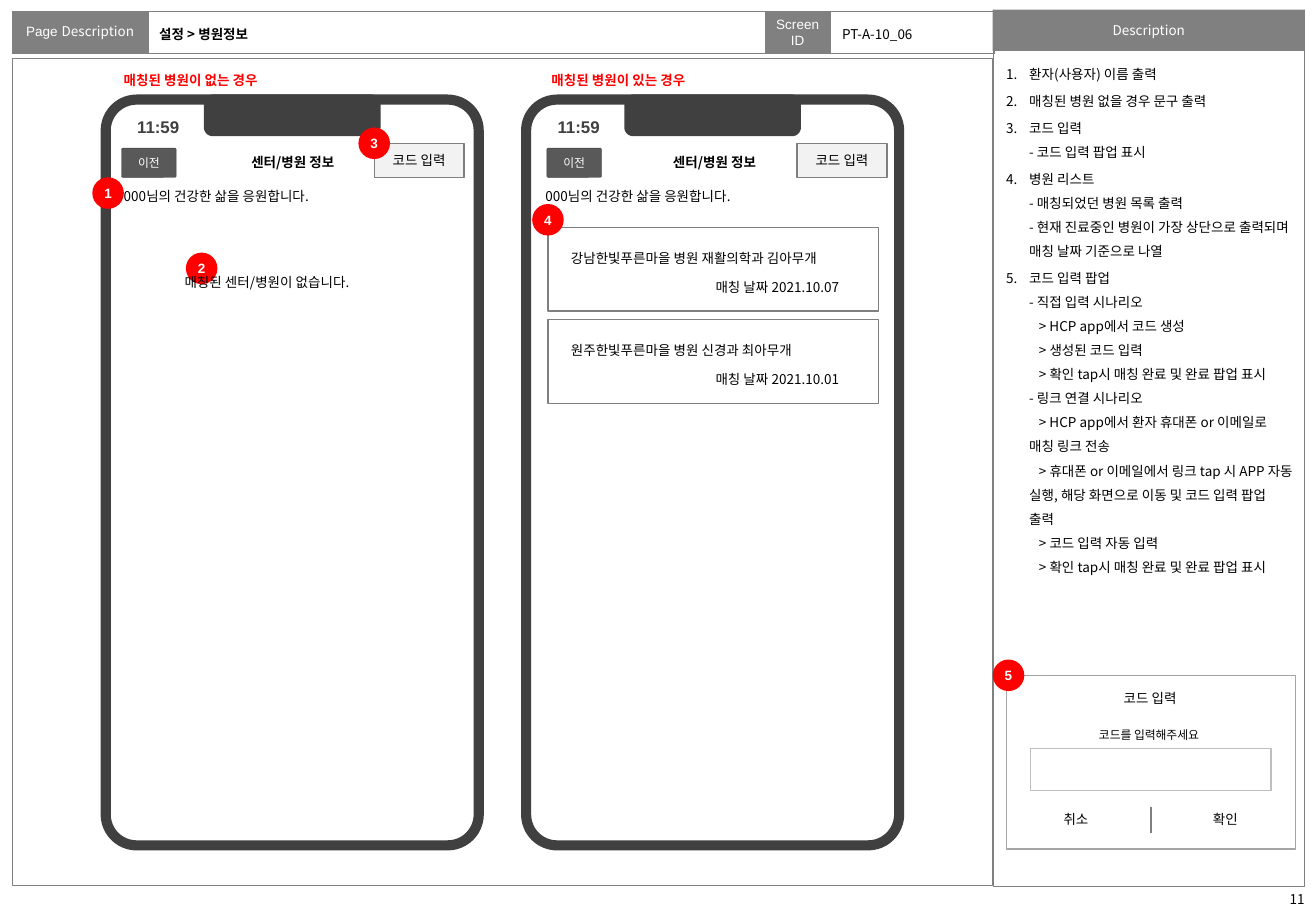
"""Builds the hospital information screen description page."""
import pptx
import pptx.chart.data
import pptx.dml.color
import pptx.enum.shapes
import pptx.enum.text
import pptx.oxml.ns
import pptx.util
from lxml import etree

Inches = pptx.util.Inches
Pt = pptx.util.Pt
qn = pptx.oxml.ns.qn
SHAPE = pptx.enum.shapes.MSO_SHAPE
ALIGN = pptx.enum.text.PP_ALIGN
ANCHOR = pptx.enum.text.MSO_ANCHOR

SANS = "Noto Sans CJK KR"
COLORS = {"black": "000000", "white": "FFFFFF", "red": "FF0000", "frame": "808080",
          "phone": "404040", "back": "595959", "button": "F2F2F2", "outline": "7F7F7F",
          "popup": "A5A5A5", "field": "BFBFBF"}
LOOSE = 14.3

PHONES = [
    {"left": 0.87, "label": 0.92, "heading": 0.92, "back": 1.0, "code": 3.08,
     "title": "매칭된 병원이 없는 경우"},
    {"left": 4.33, "label": 4.39, "heading": 4.44, "back": 4.5, "code": 6.56,
     "title": "매칭된 병원이 있는 경우"},
]
HOSPITALS = [("강남한빛푸른마을 병원 재활의학과 김아무개", "2021.10.07"),
             ("원주한빛푸른마을 병원 신경과 최아무개", "2021.10.01")]
BADGES = [(0.76, 1.46), (1.53, 2.08), (2.95, 1.05), (4.38, 1.68), (8.17, 5.43)]
DESCRIPTION = [
    ("환자(사용자) 이름 출력", []),
    ("매칭된 병원 없을 경우 문구 출력", []),
    ("코드 입력", ["- 코드 입력 팝업 표시"]),
    ("병원 리스트", ["- 매칭되었던 병원 목록 출력",
                "- 현재 진료중인 병원이 가장 상단으로 출력되며 매칭 날짜 기준으로 나열"]),
    ("코드 입력 팝업", [
        "- 직접 입력 시나리오",
        "> HCP app에서 코드 생성",
        "> 생성된 코드 입력",
        "> 확인 tap시 매칭 완료 및 완료 팝업 표시",
        "- 링크 연결 시나리오",
        "> HCP app에서 환자 휴대폰 or 이메일로 매칭 링크 전송",
        "> 휴대폰 or 이메일에서 링크 tap 시 APP 자동 실행, 해당 화면으로 이동 및 코드 입력 팝업 출력",
        "> 코드 입력 자동 입력",
        "> 확인 tap시 매칭 완료 및 완료 팝업 표시"]),
]


def rgb(name):
    return pptx.dml.color.RGBColor.from_string(COLORS[name])


def place(shape, left, top, width, height):
    shape.left, shape.top = Inches(left), Inches(top)
    shape.width, shape.height = Inches(width), Inches(height)


def write(para, text, size=8, font=SANS, color="black", bold=False, align=ALIGN.LEFT,
          leading=None):
    para.alignment = align
    para.line_spacing = Pt(leading or size * 1.2)
    para.space_before = para.space_after = Pt(0)
    span = para.add_run()
    span.text = text
    span.font.size, span.font.bold = Pt(size), bold
    span.font.color.rgb = rgb(color)
    span.font.name = font
    etree.SubElement(span.font._element, qn("a:ea"), typeface=SANS)


def set_frame(shape, anchor, side=0.1, edge=0.05):
    frame = shape.text_frame
    frame.word_wrap = True
    frame.auto_size = pptx.enum.text.MSO_AUTO_SIZE.NONE
    frame.vertical_anchor = anchor
    frame.margin_left = frame.margin_right = Inches(side)
    frame.margin_top = frame.margin_bottom = Inches(edge)
    return frame


def add_label(page, text, left, top, width, height=0.24, **style):
    box = page.shapes.add_textbox(*map(Inches, (left, top, width, height)))
    write(set_frame(box, ANCHOR.TOP).paragraphs[0], text, **style)


def add_panel(page, left, top, width, height, fill=None, line=None, weight=0.75,
              kind=SHAPE.RECTANGLE, radius=None, text=None, **style):
    panel = page.shapes.add_shape(kind, *map(Inches, (left, top, width, height)))
    panel.shadow.inherit = False
    if radius is not None:
        panel.adjustments[0] = radius
    if fill:
        panel.fill.solid()
        panel.fill.fore_color.rgb = rgb(fill)
    else:
        panel.fill.background()
    if line:
        panel.line.color.rgb = rgb(line)
        panel.line.width = Pt(weight)
    else:
        panel.line.fill.background()
    if text:
        frame = set_frame(panel, ANCHOR.MIDDLE, 0, 0)
        write(frame.paragraphs[0], text, align=ALIGN.CENTER, **style)


def set_borders(cell, color, weight):
    for index, side in enumerate(("a:lnL", "a:lnR", "a:lnT", "a:lnB")):
        line = etree.Element(qn(side), w=str(Pt(weight)))
        fill = etree.SubElement(line, qn("a:solidFill"))
        etree.SubElement(fill, qn("a:srgbClr"), val=COLORS[color])
        cell._tc.get_or_add_tcPr().insert(index, line)


def add_header(page):
    table = page.shapes.add_table(1, 4, *map(Inches, (0.1, 0.09, 8.08, 0.35))).table
    table.first_row = table.horz_banding = False
    labels = [[("Page ", "Arial"), ("Description", SANS)], [], [("Screen ID", "Arial")], []]
    for column, (width, spans) in enumerate(zip((1.12, 5.08, 0.53, 1.35), labels)):
        table.columns[column].width = Inches(width)
        cell = table.cell(0, column)
        cell.margin_left = cell.margin_right = Inches(0.04)
        cell.margin_top = cell.margin_bottom = Inches(0.04)
        cell.vertical_anchor = ANCHOR.MIDDLE
        cell.fill.solid()
        cell.fill.fore_color.rgb = rgb("frame" if spans else "white")
        set_borders(cell, "frame", 0.25)
        para = cell.text_frame.paragraphs[0]
        for text, font in spans:
            write(para, text, font=font, color="white", align=ALIGN.CENTER)
        if not spans:
            etree.SubElement(para._p, qn("a:endParaRPr"), sz="800")


def add_phone(page, phone):
    left, label = phone["left"], phone["label"]
    add_panel(page, left, 0.82, 3.07, 6.14, line="phone", weight=6,
              kind=SHAPE.ROUNDED_RECTANGLE, radius=0.083)
    add_panel(page, left + 0.85, 0.82, 1.37, 0.26, "phone", "phone", 6,
              SHAPE.ROUNDED_RECTANGLE, 0.11)
    add_label(page, "11:59", left + 0.16, 0.91, 0.65, 0.27, size=10, font="Arial",
              color="phone", bold=True)
    add_label(page, phone["title"], phone["heading"], 0.54, 1.5, color="red", bold=True)
    add_label(page, "센터/병원 정보", label, 1.22, 2.98, bold=True, align=ALIGN.CENTER)
    add_label(page, "000님의 건강한 삶을 응원합니다.", label, 1.5, 2.1)
    add_panel(page, phone["code"], 1.18, 0.74, 0.28, "button", "outline",
              text="코드 입력", font="Arial")
    add_panel(page, phone["back"], 1.22, 0.45, 0.24, "back", "phone", 0.25,
              SHAPE.ROUNDED_RECTANGLE, 0.05, "이전", size=7, color="white")


def add_hospital(page, top, name, date):
    add_panel(page, 4.51, top, 2.72, 0.69, line="outline")
    add_label(page, name, 4.6, top + 0.07, 2.6, 0.28, leading=LOOSE)
    add_label(page, f"매칭 날짜 {date}", 5.79, top + 0.31, 1.4, 0.28, leading=LOOSE)


def add_popup(page):
    add_panel(page, 8.28, 5.56, 2.38, 1.43, "white", "popup")
    add_panel(page, 8.48, 6.16, 1.98, 0.35, "white", "field")
    add_label(page, "코드 입력", 9.02, 5.63, 0.89, align=ALIGN.CENTER)
    add_label(page, "코드를 입력해주세요", 8.33, 5.94, 2.25, 0.22, size=7, align=ALIGN.CENTER)
    for text, left in (("취소", 8.55), ("확인", 9.78)):
        add_label(page, text, left, 6.63, 0.61, align=ALIGN.CENTER)
    divider = page.shapes.add_connector(pptx.enum.shapes.MSO_CONNECTOR.STRAIGHT,
                                        *map(Inches, (9.47, 6.64, 9.47, 6.86)))
    divider.line.color.rgb = rgb("outline")
    divider.line.width = Pt(1)
    etree.SubElement(divider._element.spPr, qn("a:effectLst"))


def add_item(frame, text, indent, number=None):
    first = frame.paragraphs[0]
    para = frame.add_paragraph() if first.runs else first
    settings = para._p.get_or_add_pPr()
    settings.set("marL", str(Inches(0.19)))
    settings.set("indent", str(Inches(indent)))
    if number:
        etree.SubElement(settings, qn("a:buFont"), typeface=SANS)
        etree.SubElement(settings, qn("a:buAutoNum"), type="arabicPeriod", startAt=str(number))
    else:
        etree.SubElement(settings, qn("a:buNone"))
    write(para, text, leading=LOOSE)
    if number and number > 1:
        para.space_before = Pt(1.6)


def fill_placeholders(page):
    title, screen, description = page.placeholders
    place(title, 1.27, 0.13, 5.01, 0.3)
    write(set_frame(title, ANCHOR.MIDDLE, 0.04).paragraphs[0], "설정 > 병원정보", bold=True)
    place(screen, 6.83, 0.13, 1.3, 0.3)
    para = set_frame(screen, ANCHOR.MIDDLE).paragraphs[0]
    settings = para._p.get_or_add_pPr()
    settings.set("marL", "0")
    settings.set("indent", "0")
    etree.SubElement(settings, qn("a:buNone"))
    write(para, "PT-A-10_06")
    place(description, 8.18, 0.43, 2.57, 6.9)
    frame = set_frame(description, ANCHOR.TOP)
    for number, (heading, details) in enumerate(DESCRIPTION, 1):
        add_item(frame, heading, -0.19, number)
        for detail in details:
            add_item(frame, detail, 0.08 if detail.startswith(">") else 0)


def main():
    deck = pptx.Presentation()
    deck.slide_width, deck.slide_height = Inches(10.83), Inches(7.5)
    page = deck.slides.add_slide(deck.slide_layouts[3])
    add_header(page)
    add_panel(page, 0.1, 0.48, 8.07, 6.81, line="frame", weight=0.25)
    add_panel(page, 8.17, 0.39, 2.56, 6.91, line="frame", weight=0.25)
    add_panel(page, 8.17, 0.08, 2.57, 0.34, "frame", text="Description", color="white")
    add_label(page, "11", 10.48, 7.29, 0.39, 0.2, align=ALIGN.CENTER)
    for placeholder in list(page.placeholders):
        page.shapes._spTree.append(placeholder._element)
    fill_placeholders(page)
    for phone in PHONES:
        add_phone(page, phone)
    for index, (name, date) in enumerate(HOSPITALS):
        add_hospital(page, 1.87 + 0.76 * index, name, date)
    add_popup(page)
    for number, (left, top) in enumerate(BADGES, 1):
        add_panel(page, left, top, 0.26, 0.26, "red", kind=SHAPE.OVAL, text=str(number),
                  font="Arial", color="white", bold=True)
    add_label(page, "매칭된 센터/병원이 없습니다.", 1.42, 2.21, 1.98)
    deck.save("out.pptx")


if __name__ == "__main__":
    main()
